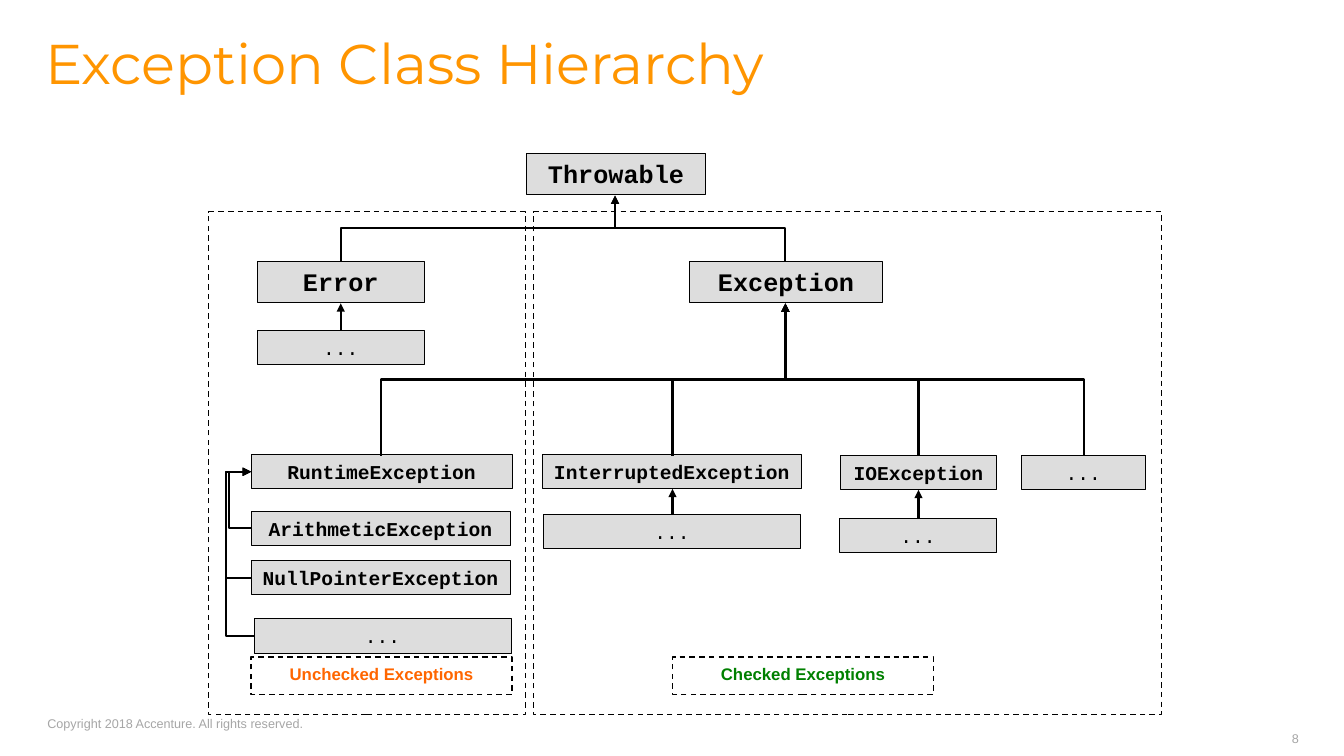
from lxml import etree
from pptx import Presentation
from pptx import util as u
from pptx.dml.color import RGBColor
from pptx.enum import dml, shapes, text
from pptx.oxml import ns

BLACK, GREY, BOX_FILL = "000000", "A6A6A6", "DDDDDD"
ORANGE, UNCHECKED, CHECKED = "FF9500", "FF6600", "008000"
LEFT, CENTER, RIGHT = text.PP_ALIGN.LEFT, text.PP_ALIGN.CENTER, text.PP_ALIGN.RIGHT


def color(value):
    return RGBColor.from_string(value)


def write(frame, words, font="Arial", size=9, ink=GREY, bold=False, align=LEFT,
          anchor=text.MSO_ANCHOR.MIDDLE, spacing=None, inset=0, wrap=False):
    frame.word_wrap = wrap
    frame.vertical_anchor = anchor
    frame.margin_left = frame.margin_right = u.Inches(inset)
    frame.margin_top = frame.margin_bottom = u.Inches(inset / 2)
    paragraph = frame.paragraphs[0]
    paragraph.alignment = align
    paragraph.line_spacing = spacing
    run = paragraph.add_run()
    run.text = words
    run.font.name = font
    run.font.size = u.Pt(size)
    run.font.bold = bold
    run.font.color.rgb = color(ink)


class Diagram:
    def __init__(self, slide):
        self.shapes = slide.shapes

    def label(self, place, words, **style):
        box = self.shapes.add_textbox(*map(u.Inches, place))
        write(box.text_frame, words, **style)

    def rectangle(self, place, width, fill=None):
        box = self.shapes.add_shape(shapes.MSO_SHAPE.RECTANGLE, *map(u.Inches, place))
        box.shadow.inherit = False
        if fill:
            box.fill.solid()
            box.fill.fore_color.rgb = color(fill)
        else:
            box.fill.background()
        box.line.color.rgb = color(BLACK)
        box.line.width = u.Pt(width)
        return box

    def class_box(self, place, words, size=14):
        box = self.rectangle(place, 0.75, BOX_FILL)
        write(box.text_frame, words, font="Courier New", size=size, ink=BLACK,
              bold=words != "...", align=CENTER, inset=0.1)

    def dashed_box(self, place, words=None, ink=BLACK):
        box = self.rectangle(place, 1)
        box.line.dash_style = dml.MSO_LINE.DASH
        if words:
            write(box.text_frame, words, size=12, ink=ink, bold=True,
                  align=CENTER, spacing=0.8, inset=0.1)

    def connector(self, kind, start, end):
        arrow = self.shapes.add_connector(kind, *map(u.Inches, (*start, *end)))
        arrow.line.color.rgb = color(BLACK)
        arrow.line.width = u.Pt(1.5)
        line = arrow.line._get_or_add_ln()
        etree.SubElement(line, ns.qn("a:tailEnd"), type="triangle")
        etree.SubElement(arrow._element.spPr, ns.qn("a:effectLst"))
        return arrow

    def arrow(self, x, start_y, end_y):
        self.connector(shapes.MSO_CONNECTOR.STRAIGHT, (x, start_y), (x, end_y))

    def elbow(self, start, end, turn, bend):
        arrow = self.connector(shapes.MSO_CONNECTOR.ELBOW, start, end)
        properties = arrow._element.spPr
        properties.find(ns.qn("a:xfrm")).set("rot", str(turn * 60000))
        guides = properties.find(ns.qn("a:prstGeom")).find(ns.qn("a:avLst"))
        etree.SubElement(guides, ns.qn("a:gd"), name="adj1",
                         fmla=f"val {round(bend * 100000)}")

    def elbow_up(self, child, parent):
        (x1, y1), (x2, y2) = child, parent
        middle_x, middle_y = (x1 + x2) / 2, (y1 + y2) / 2
        half_rise, half_run = (y1 - y2) / 2, abs(x2 - x1) / 2
        side = 1 if x1 < x2 else -1
        self.elbow((middle_x - side * half_rise, middle_y - half_run),
                   (middle_x + side * half_rise, middle_y + half_run),
                   270 if side == 1 else 90, 0.5)

    def elbow_left(self, child, parent, lane):
        (x1, y1), (x2, y2) = child, parent
        self.elbow((x2, y2), (x1, y1), 180, (x1 - lane) / (x1 - x2))


def main():
    deck = Presentation()
    deck.slide_width, deck.slide_height = u.Inches(13.33), u.Inches(7.5)
    diagram = Diagram(deck.slides.add_slide(deck.slide_layouts[6]))

    diagram.label((0.47, 7.05, 2.57, 0.25), "Copyright 2018 Accenture. All rights reserved.")
    diagram.label((0.45, 0.41, 8.32, 1.09), "Exception Class Hierarchy", font="Montserrat",
                  size=40, ink=ORANGE, anchor=text.MSO_ANCHOR.TOP, spacing=0.8, wrap=True)
    diagram.label((9.98, 7.2, 3, 0.25), "8", align=RIGHT, inset=0.1, wrap=True)

    for left, top, width, name in (
        (5.22, 1.52, 1.78, "Throwable"),
        (2.55, 2.59, 1.66, "Error"),
        (6.84, 2.59, 1.91, "Exception"),
    ):
        diagram.class_box((left, top, width, 0.41), name, size=18)

    for left, top, width, name in (
        (2.55, 3.28, 1.66, "..."),
        (2.49, 4.51, 2.59, "RuntimeException"),
        (2.49, 5.07, 2.57, "ArithmeticException"),
        (2.49, 5.56, 2.57, "NullPointerException"),
        (2.52, 6.14, 2.55, "..."),
        (5.38, 4.51, 2.57, "InterruptedException"),
        (5.39, 5.1, 2.55, "..."),
        (8.34, 4.52, 1.54, "IOException"),
        (8.33, 5.14, 1.55, "..."),
        (10.13, 4.52, 1.23, "..."),
    ):
        diagram.class_box((left, top, width, 0.34), name)

    throwable, exception, runtime = (6.1, 1.94), (7.79, 3.01), (2.49, 4.68)
    for x in (3.38, 7.79):
        diagram.elbow_up((x, 2.59), throwable)
    for x in (3.78, 6.67, 9.11, 10.75):
        diagram.elbow_up((x, 4.52), exception)
    for x, y, lane in ((2.5, 5.24, 2.27), (2.5, 5.73, 2.24), (2.52, 6.31, 2.24)):
        diagram.elbow_left((x, y), runtime, lane)
    for x, start_y, end_y in ((3.38, 3.28, 3.01), (6.67, 5.1, 4.85), (9.11, 5.14, 4.86)):
        diagram.arrow(x, start_y, end_y)

    diagram.dashed_box((2.07, 2.1, 3.14, 4.99))
    diagram.dashed_box((5.29, 2.1, 6.23, 4.99))
    diagram.dashed_box((2.49, 6.52, 2.59, 0.37), "Unchecked Exceptions", UNCHECKED)
    diagram.dashed_box((6.67, 6.52, 2.59, 0.37), "Checked Exceptions", CHECKED)

    deck.save("out.pptx")


if __name__ == "__main__":
    main()
